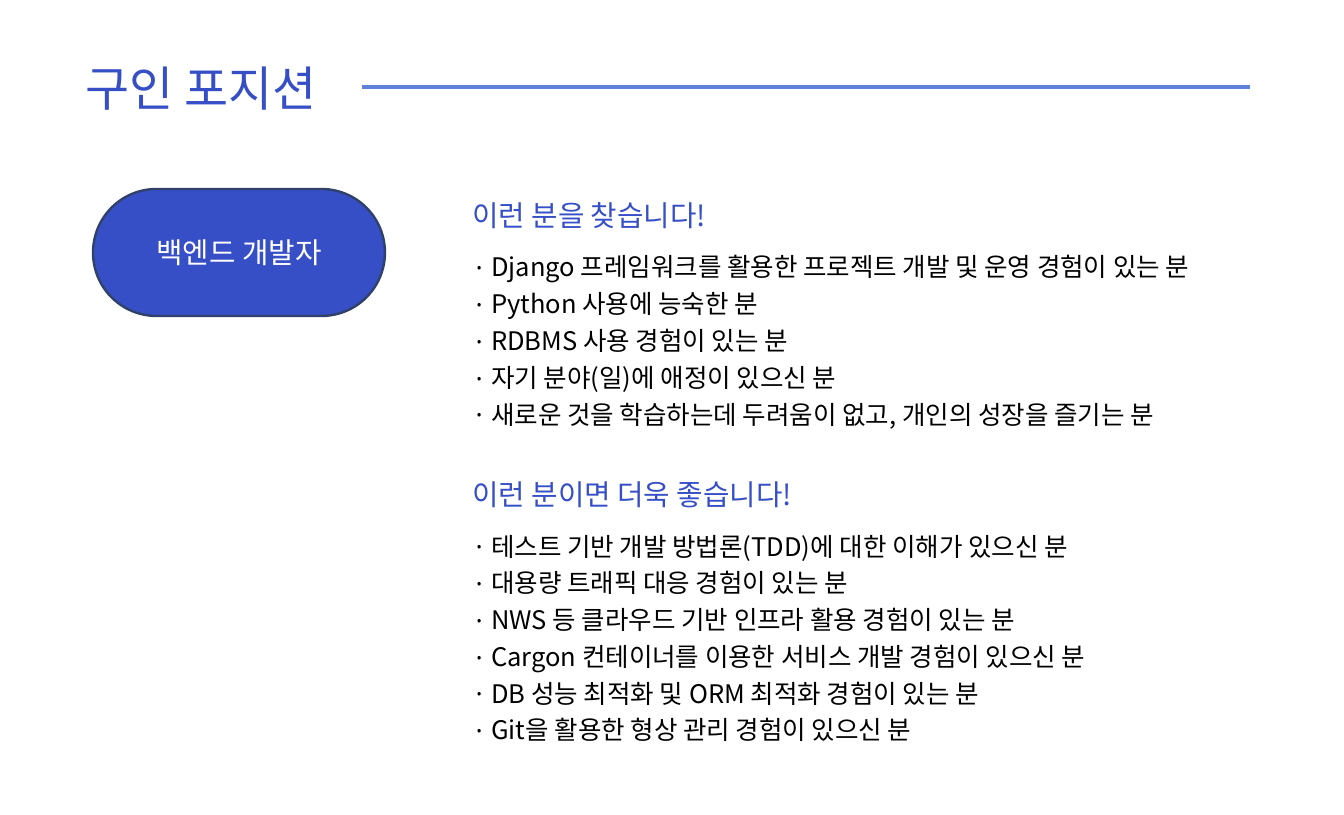
"""Build the hiring position slide."""
from lxml import etree
from pptx import Presentation, util as u
from pptx.dml.color import RGBColor
from pptx.enum import shapes, text
from pptx.oxml import ns

TITLE = "구인 포지션"
ROLE = "백엔드 개발자"
SECTIONS = [
    (468 - 279, "이런 분을 찾습니다!", [
        "Django 프레임워크를 활용한 프로젝트 개발 및 운영 경험이 있는 분",
        "Python 사용에 능숙한 분",
        "RDBMS 사용 경험이 있는 분",
        "자기 분야(일)에 애정이 있으신 분",
        "새로운 것을 학습하는데 두려움이 없고, 개인의 성장을 즐기는 분",
    ]),
    (468, "이런 분이면 더욱 좋습니다!", [
        "테스트 기반 개발 방법론(TDD)에 대한 이해가 있으신 분",
        "대용량 트래픽 대응 경험이 있는 분",
        "NWS 등 클라우드 기반 인프라 활용 경험이 있는 분",
        "Cargon 컨테이너를 이용한 서비스 개발 경험이 있으신 분",
        "DB 성능 최적화 및 ORM 최적화 경험이 있는 분",
        "Git을 활용한 형상 관리 경험이 있으신 분",
    ]),
]
THEME = {
    "font": "Noto Sans CJK KR",
    "blue": "364FC6", "rule": "5E81D9", "edge": "30416A",
    "white": "FFFFFF", "black": "000000",
    "title": 30, "heading": 18, "item": 16,
}
PX = 914400 / 115
LINE_H = 37


def px(n):
    """Turn px into EMU."""
    return u.Emu(round(n * PX))


def color(name):
    """Look up a theme colour."""
    return RGBColor.from_string(THEME[name])


def add_text(tf, content, size="item", fill="black", spacing=None, after=0,
             align=None, bullet=False, first=False):
    """Write one formatted paragraph into a text frame."""
    p = tf.paragraphs[0] if first else tf.add_paragraph()
    p.alignment, p.line_spacing, p.space_after = align, spacing, u.Pt(after)
    r = p.add_run()
    r.text = content
    r.font.name, r.font.size = THEME["font"], u.Pt(THEME[size])
    r.font.color.rgb = color(fill)
    etree.SubElement(r._r.get_or_add_rPr(), ns.qn("a:ea"), typeface=THEME["font"])
    if bullet:
        pPr = p._p.get_or_add_pPr()
        pPr.set("marL", str(px(19)))
        pPr.set("indent", str(-px(19)))
        etree.SubElement(pPr, ns.qn("a:buFont"), typeface=THEME["font"])
        etree.SubElement(pPr, ns.qn("a:buChar"), char="·")


def add_box(s, x, y, w, h):
    """Add a wrapping text box and return its frame."""
    tf = s.shapes.add_textbox(px(x), px(y), px(w), px(h)).text_frame
    tf.word_wrap = True
    return tf


def main():
    """Lay out the slide and save it."""
    prs = Presentation()
    prs.slide_width, prs.slide_height = px(1344), px(815)
    s = prs.slides.add_slide(prs.slide_layouts[6])

    add_text(add_box(s, 74, 53, 332, 68), TITLE, size="title", fill="blue", first=True)

    rule = s.shapes.add_connector(
        shapes.MSO_CONNECTOR.STRAIGHT, px(362), px(87), px(1250), px(87))
    rule.line.color.rgb, rule.line.width = color("rule"), u.Pt(3)
    etree.SubElement(rule._element.spPr, ns.qn("a:effectLst"))

    sp = s.shapes.add_shape(
        shapes.MSO_SHAPE.ROUNDED_RECTANGLE, px(93), px(189), px(292), px(127))
    sp.adjustments[0] = 0.5
    sp.shadow.inherit = False
    sp.fill.solid()
    sp.fill.fore_color.rgb = color("blue")
    sp.line.color.rgb, sp.line.width = color("edge"), u.Pt(1.5)
    sp.text_frame.vertical_anchor = text.MSO_ANCHOR.MIDDLE
    add_text(sp.text_frame, ROLE, size="heading", fill="white",
             align=text.PP_ALIGN.CENTER, first=True)

    for y, heading, items in SECTIONS:
        tf = add_box(s, 461, y, 822, 60 + LINE_H * len(items))
        add_text(tf, heading, size="heading", fill="blue", spacing=1.1, after=8, first=True)
        for item in items:
            add_text(tf, item, spacing=1.2, bullet=True)

    prs.save("out.pptx")


if __name__ == "__main__":
    main()
